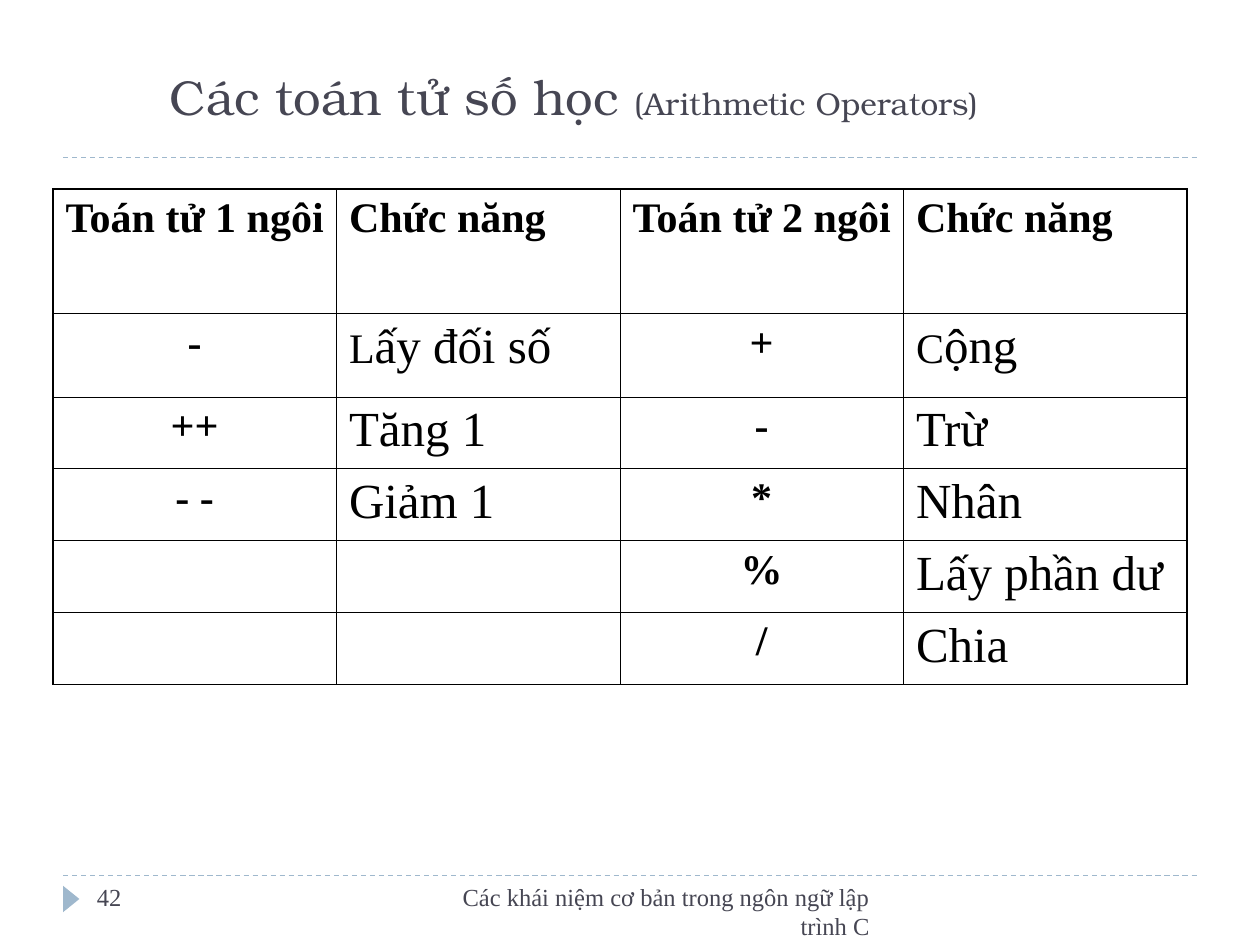
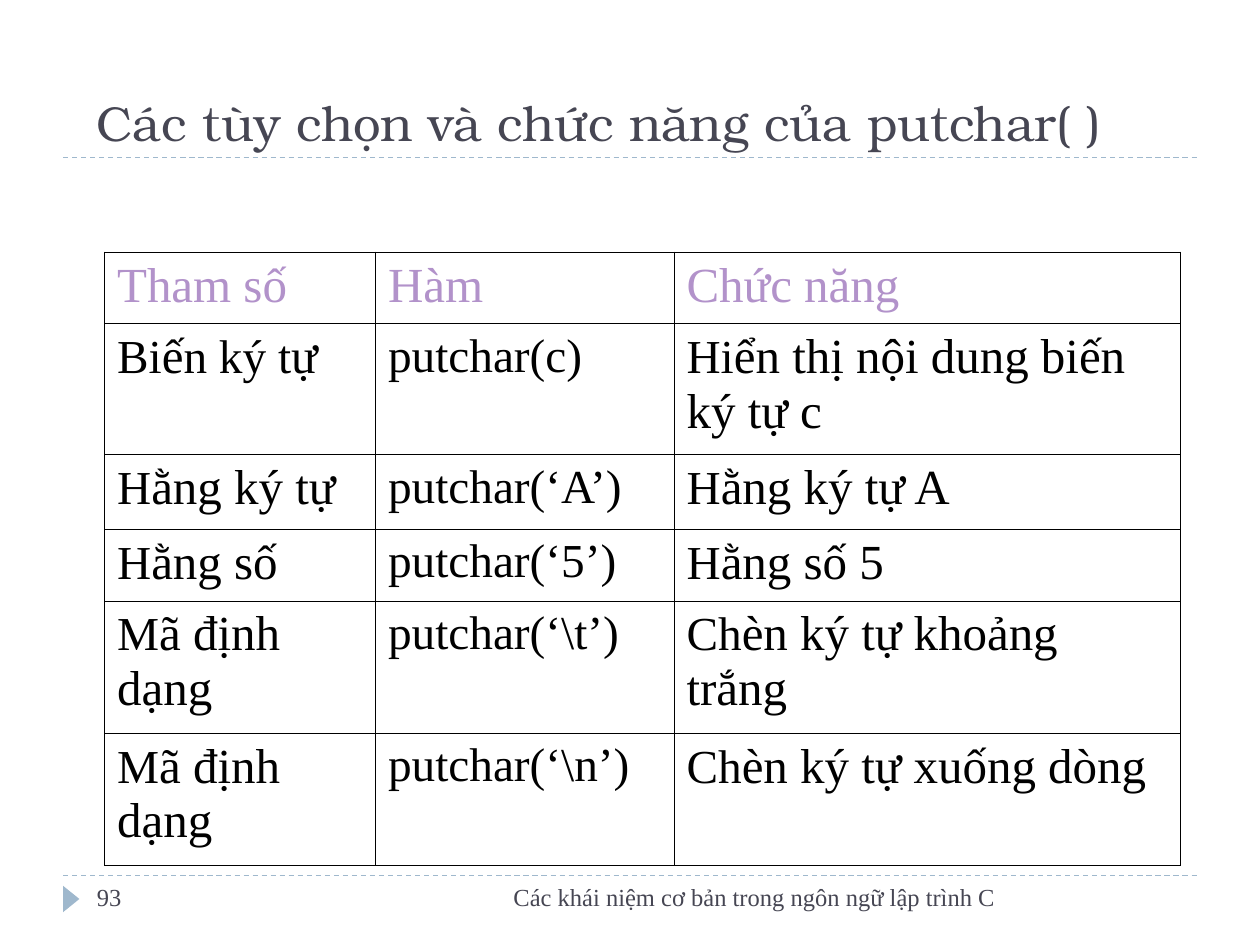
from dataclasses import dataclass
from itertools import cycle

from lxml.etree import SubElement
from pptx import Presentation
from pptx.dml.color import RGBColor
from pptx.enum.dml import MSO_LINE
from pptx.enum.shapes import MSO_CONNECTOR, MSO_SHAPE
from pptx.enum.text import MSO_ANCHOR, PP_ALIGN
from pptx.oxml import parse_xml
from pptx.oxml.ns import nsdecls, qn
from pptx.util import Inches, Pt

INK = "464653"
ACCENT = "9FB8CD"
BLACK = "000000"
LILAC = "B292CA"
TITLE_FONT = "TeX Gyre Bonum"
BODY_FONT = "Times New Roman"
FOOTER = "Các khái niệm cơ bản trong ngôn ngữ lập trình C"
RULE_TOPS = (1.25, 6.95)
FOOTER_TOP, FOOTER_HEIGHT = 6.95, 0.4
GRID_LINE = 0.45


@dataclass(frozen=True)
class Box:
    left: float
    top: float
    width: float
    height: float

    def lengths(self) -> tuple:
        return tuple(Inches(v) for v in (self.left, self.top, self.width, self.height))


@dataclass(frozen=True)
class TextStyle:
    """Sizes take turns at each "|" in the text."""
    sizes: tuple[float, ...]
    color: str
    font: str = BODY_FONT
    bold: bool = False
    align: PP_ALIGN = PP_ALIGN.LEFT


@dataclass(frozen=True)
class Grid:
    left: float
    top: float
    columns: tuple[float, ...]
    heights: tuple[float, ...]
    rows: tuple[tuple[str, ...], ...]
    header: TextStyle
    column_styles: tuple[TextStyle, ...]
    frame_line: float = GRID_LINE


@dataclass(frozen=True)
class Lesson:
    title: str
    title_box: Box
    number: str
    footer_width: float
    grid: Grid


TITLE = TextStyle((28, 18), INK, TITLE_FONT)
PAGE_NUMBER = TextStyle((14,), INK)
FOOTER_STYLE = TextStyle((14,), INK, align=PP_ALIGN.RIGHT)
OPERATOR = TextStyle((24,), BLACK, bold=True, align=PP_ALIGN.CENTER)
OPERATOR_ROLE = TextStyle((24, 28), BLACK)
PUTCHAR_CELL = TextStyle((27, 28), BLACK)

LESSONS = (
    Lesson(
        "Các toán tử số học |(Arithmetic Operators)",
        Box(1.25, 0.42, 7.33, 0.62), "42", 3.83,
        Grid(
            0.42, 1.5, (2.25,) * 4, (0.99, 0.66) + (0.57,) * 4,
            (
                ("Toán tử 1 ngôi", "Chức năng", "Toán tử 2 ngôi", "Chức năng"),
                ("-", "L|ấy đối số", "+", "C|ộng"),
                ("++", "|Tăng 1", "-", "|Trừ"),
                ("- -", "|Giảm 1", "*", "|Nhân"),
                ("", "", "%", "|Lấy phần dư"),
                ("", "", "/", "|Chia"),
            ),
            TextStyle((24,), BLACK, bold=True),
            (OPERATOR, OPERATOR_ROLE) * 2,
            frame_line=1.08,
        ),
    ),
    Lesson(
        "Các tùy chọn và chức năng của putchar( )",
        Box(0.67, -0.08, 8.83, 1.33), "93", 4.83,
        Grid(
            0.83, 2, (2.15, 2.37, 4.02), (0.57, 1.04, 0.59, 0.57, 1.05, 1.05),
            (
                ("Tham số", "Hàm", "Chức năng"),
                ("Bi|ế|n ký t|ự", "putchar(c)", "Hi|ển thị nội dung biến ký tự c"),
                ("H|ằng ký tự", "putchar(‘A’)", "H|ằng ký tự A"),
                ("H|ằng số", "putchar(‘5’)", "H|ằng số 5"),
                ("M|ã định dạng", "putchar(‘\\t’)", "Ch|èn ký tự khoảng trắng"),
                ("M|ã định dạng", "putchar(‘\\n’)", "Ch|èn ký tự xuống dòng"),
            ),
            TextStyle((28,), LILAC),
            (PUTCHAR_CELL,) * 3,
        ),
    ),
)


def rgb(color: str) -> RGBColor:
    return RGBColor.from_string(color)


def write(frame, text: str, style: TextStyle) -> None:
    paragraph = frame.paragraphs[0]
    paragraph.alignment = style.align
    for part, size in zip(text.split("|"), cycle(style.sizes)):
        if not part:
            continue
        run = paragraph.add_run()
        run.text = part
        formats = {"name": style.font, "size": Pt(size), "bold": style.bold}
        for attribute, value in formats.items():
            setattr(run.font, attribute, value)
        run.font.color.rgb = rgb(style.color)


def add_text(slide, box: Box, text: str, style: TextStyle, anchor=MSO_ANCHOR.TOP) -> None:
    frame = slide.shapes.add_textbox(*box.lengths()).text_frame
    for attribute, value in {"word_wrap": True, "vertical_anchor": anchor}.items():
        setattr(frame, attribute, value)
    write(frame, text, style)


def add_rule(slide, top: float) -> None:
    rule = slide.shapes.add_connector(
        MSO_CONNECTOR.STRAIGHT, Inches(0.5), Inches(top), Inches(9.5), Inches(top))
    rule.line.color.rgb = rgb(ACCENT)
    rule.line.width = Pt(0.75)
    rule.line.dash_style = MSO_LINE.DASH
    SubElement(rule._element.spPr, qn("a:effectLst"))


def add_page_marker(slide) -> None:
    marker = slide.shapes.add_shape(
        MSO_SHAPE.ISOSCELES_TRIANGLE, *Box(0.46, 7.07, 0.21, 0.13).lengths())
    marker.rotation = 90
    marker.shadow.inherit = False
    marker.fill.solid()
    marker.fill.fore_color.rgb = rgb(ACCENT)
    marker.line.fill.background()


def set_borders(cell, widths: dict[str, float]) -> None:
    """Draw the cell's edges; the lines must come before its fill."""
    properties = cell._tc.get_or_add_tcPr()
    for position, (edge, width) in enumerate(widths.items()):
        properties.insert(position, parse_xml(
            f'<a:ln{edge} {nsdecls("a")} w="{Pt(width)}"><a:solidFill>'
            f'<a:srgbClr val="{BLACK}"/></a:solidFill></a:ln{edge}>'))


def add_grid(slide, grid: Grid) -> None:
    box = Box(grid.left, grid.top, sum(grid.columns), sum(grid.heights))
    last_column = len(grid.columns) - 1
    table = slide.shapes.add_table(
        len(grid.rows), len(grid.columns), *box.lengths()).table
    for flag in ("first_row", "horz_banding"):
        setattr(table, flag, False)
    for column, width in zip(table.columns, grid.columns):
        column.width = Inches(width)
    for r, (height, texts) in enumerate(zip(grid.heights, grid.rows)):
        table.rows[r].height = Inches(height)
        for c, text in enumerate(texts):
            cell = table.cell(r, c)
            cell.fill.background()
            outer = {"L": c == 0, "R": c == last_column, "T": r == 0, "B": False}
            set_borders(cell, {edge: grid.frame_line if is_outer else GRID_LINE
                               for edge, is_outer in outer.items()})
            write(cell.text_frame, text, grid.column_styles[c] if r else grid.header)


def add_lesson(deck, lesson: Lesson) -> None:
    slide = deck.slides.add_slide(deck.slide_layouts[6])
    for top in RULE_TOPS:
        add_rule(slide, top)
    add_page_marker(slide)
    add_text(slide, lesson.title_box, lesson.title, TITLE, MSO_ANCHOR.BOTTOM)
    add_grid(slide, lesson.grid)
    add_text(slide, Box(3.17, FOOTER_TOP, lesson.footer_width, FOOTER_HEIGHT),
             FOOTER, FOOTER_STYLE)
    add_text(slide, Box(0.67, FOOTER_TOP, 2.17, FOOTER_HEIGHT),
             lesson.number, PAGE_NUMBER)


def main() -> None:
    deck = Presentation()
    deck.slide_width, deck.slide_height = Inches(10), Inches(7.5)
    for lesson in LESSONS:
        add_lesson(deck, lesson)
    deck.save("out.pptx")


if __name__ == "__main__":
    main()
